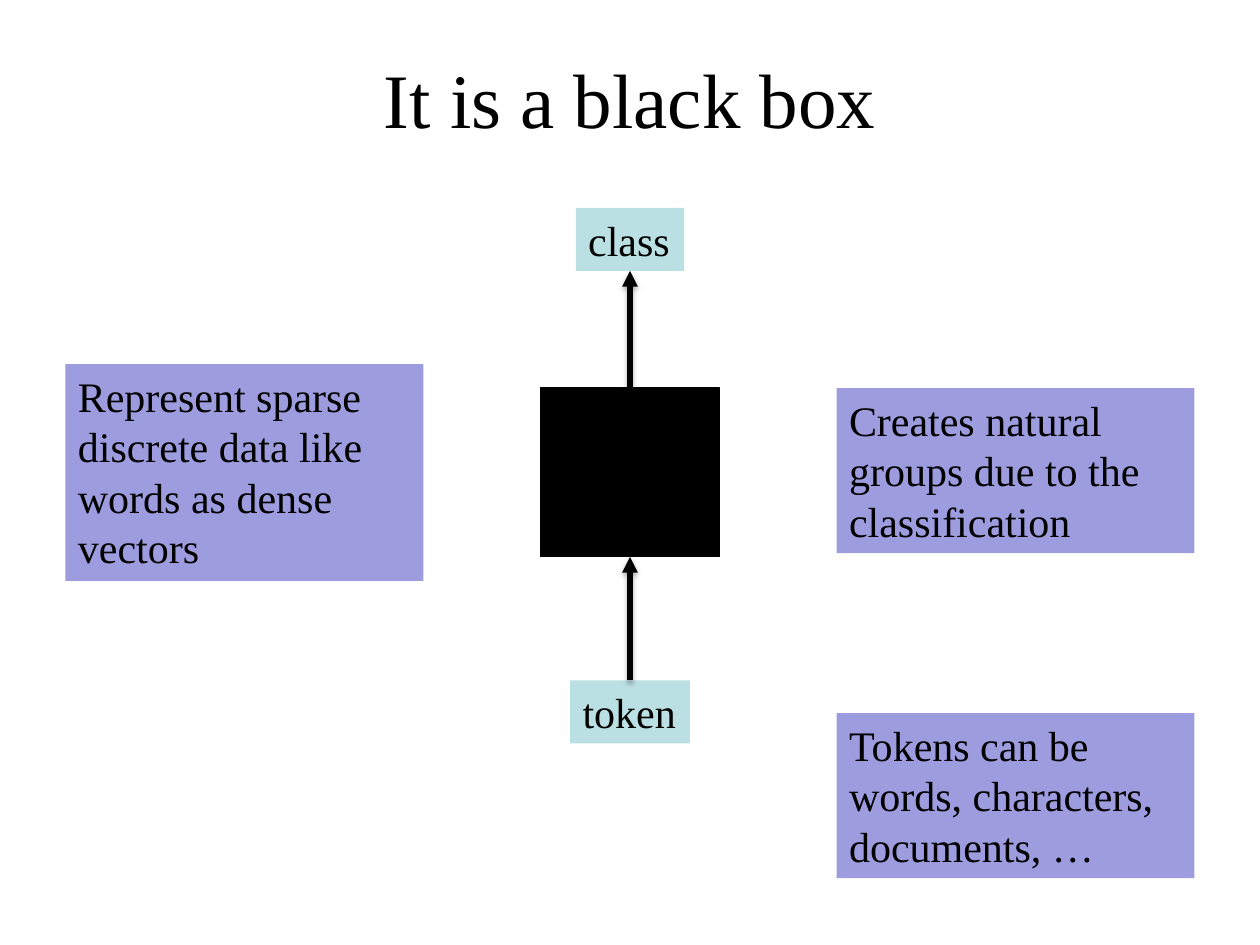
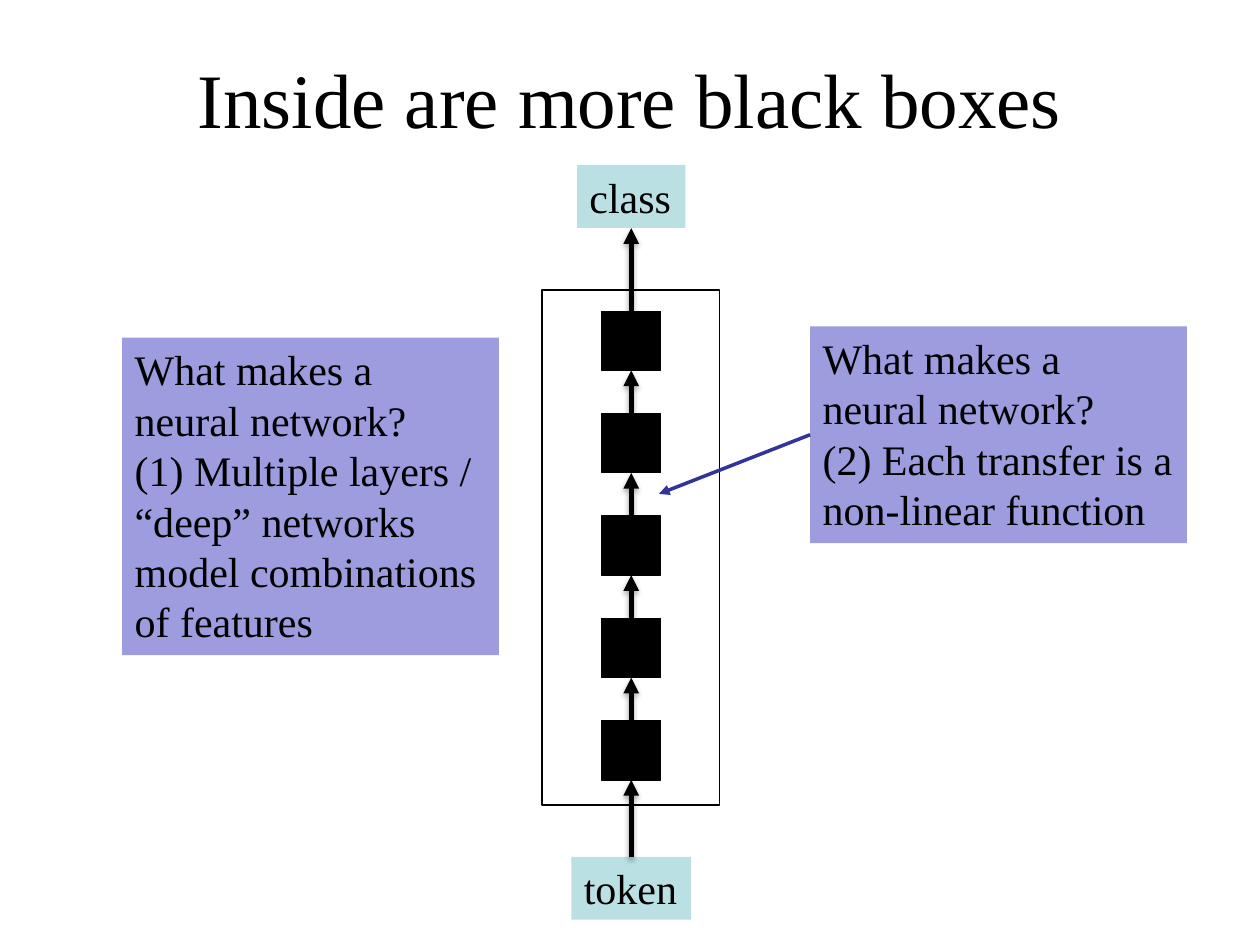
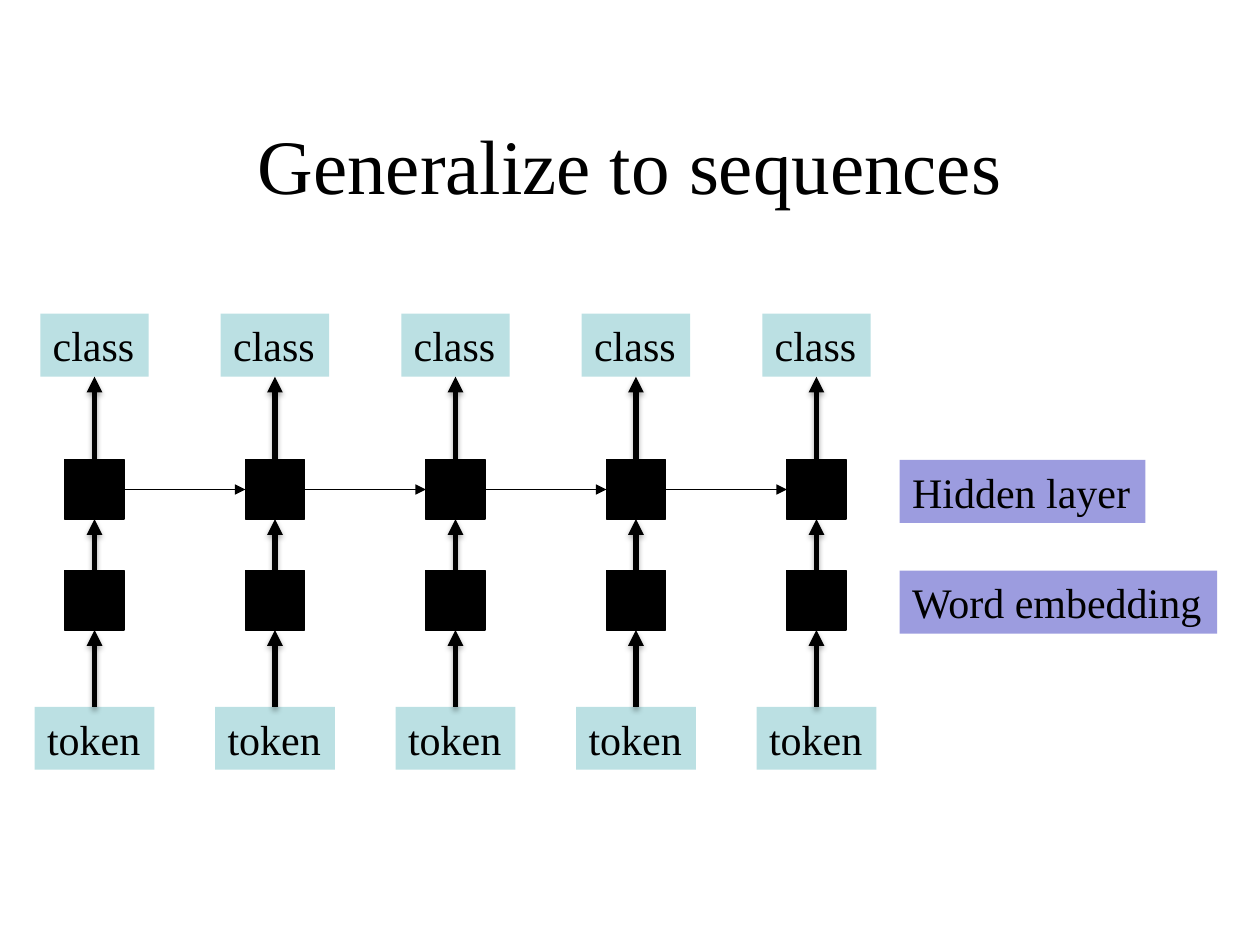
from dataclasses import dataclass
from typing import Any, Optional

import pptx
import pptx.dml.color
import pptx.enum.shapes
import pptx.enum.text
import pptx.oxml
import pptx.oxml.ns
import pptx.util

Inches = pptx.util.Inches
RGB = pptx.dml.color.RGBColor


@dataclass(frozen=True)
class Theme:
    font: str = "Times New Roman"
    black: RGB = RGB(0x00, 0x00, 0x00)
    pointer: RGB = RGB(0x33, 0x33, 0x99)
    label: RGB = RGB(0xBB, 0xE0, 0xE3)
    note: RGB = RGB(0x9C, 0x9C, 0xDF)
    title_size: int = 44
    body_size: int = 24


THEME = Theme()
LABEL_HEIGHT = 0.5


@dataclass(frozen=True)
class Box:
    """Position and size in inches."""
    left: float
    top: float
    width: float
    height: float

    def lengths(self) -> list[int]:
        return [Inches(v) for v in (self.left, self.top, self.width, self.height)]


@dataclass(frozen=True)
class Note:
    box: Box
    paragraphs: tuple[str, ...]
    wraps: bool = True


@dataclass(frozen=True)
class Tower:
    """Black boxes, top to bottom, between a class label and a token label."""
    center: float
    class_top: float
    layer_tops: tuple[float, ...]
    token_top: float
    layer_width: float = 0.47
    layer_height: float = 0.47


def write(frame: Any, paragraphs: tuple[str, ...], size: int, align: Any) -> None:
    for index, words in enumerate(paragraphs):
        paragraph = frame.add_paragraph() if index else frame.paragraphs[0]
        paragraph.alignment = align
        run = paragraph.add_run()
        run.text = words
        run.font.name = THEME.font
        run.font.size = pptx.util.Pt(size)
        run.font.color.rgb = THEME.black


def add_title(slide: Any, title: str, top: float = 0.15) -> None:
    frame = slide.shapes.add_textbox(*Box(0.75, top, 8.5, 1.25).lengths()).text_frame
    frame.word_wrap = True
    frame.vertical_anchor = pptx.enum.text.MSO_ANCHOR.MIDDLE
    write(frame, (title,), THEME.title_size, pptx.enum.text.PP_ALIGN.CENTER)


def add_rectangle(shapes: Any, box: Box, fill: Optional[RGB], outline: Optional[float] = None) -> Any:
    rectangle = shapes.add_shape(pptx.enum.shapes.MSO_SHAPE.RECTANGLE, *box.lengths())
    rectangle.shadow.inherit = False
    if fill is None:
        rectangle.fill.background()
    else:
        rectangle.fill.solid()
        rectangle.fill.fore_color.rgb = fill
    if outline is None:
        rectangle.line.fill.background()
    else:
        rectangle.line.color.rgb = THEME.black
        rectangle.line.width = pptx.util.Pt(outline)
    return rectangle


def add_note(shapes: Any, note: Note, fill: RGB = THEME.note) -> None:
    frame = add_rectangle(shapes, note.box, fill).text_frame
    frame.word_wrap = note.wraps
    frame.auto_size = pptx.enum.text.MSO_AUTO_SIZE.SHAPE_TO_FIT_TEXT
    frame.vertical_anchor = pptx.enum.text.MSO_ANCHOR.TOP
    write(frame, note.paragraphs, THEME.body_size, pptx.enum.text.PP_ALIGN.LEFT)


def add_label(shapes: Any, word: str, center: float, top: float, width: float) -> None:
    box = Box(center - width / 2, top, width, LABEL_HEIGHT)
    add_note(shapes, Note(box, (word,), wraps=False), THEME.label)


def add_arrow(shapes: Any, start: tuple[float, float], end: tuple[float, float],
              width: float, color: RGB = THEME.black, shadow: bool = False) -> None:
    arrow = shapes.add_connector(pptx.enum.shapes.MSO_CONNECTOR.STRAIGHT,
                                 *(Inches(v) for v in (*start, *end)))
    arrow.line.color.rgb = color
    arrow.line.width = pptx.util.Pt(width)
    namespace = pptx.oxml.ns.nsdecls("a")
    line = arrow.line._get_or_add_ln()
    line.append(pptx.oxml.parse_xml(f'<a:tailEnd {namespace} type="triangle"/>'))
    outer = ('<a:outerShdw blurRad="40000" dist="23000" dir="5400000" rotWithShape="0">'
             '<a:srgbClr val="000000"><a:alpha val="35000"/></a:srgbClr></a:outerShdw>')
    effects = f'<a:effectLst {namespace}>{outer if shadow else ""}</a:effectLst>'
    line.addnext(pptx.oxml.parse_xml(effects))


def add_tower(shapes: Any, tower: Tower) -> None:
    left = tower.center - tower.layer_width / 2
    for top in tower.layer_tops:
        add_rectangle(shapes, Box(left, top, tower.layer_width, tower.layer_height),
                      THEME.black, 0.75)
    add_label(shapes, "token", tower.center, tower.token_top, 0.95)
    add_label(shapes, "class", tower.center, tower.class_top, 0.86)
    starts = (*tower.layer_tops, tower.token_top)
    ends = (tower.class_top + LABEL_HEIGHT,
            *(top + tower.layer_height for top in tower.layer_tops))
    for start, end in zip(starts, ends):
        add_arrow(shapes, (tower.center, start), (tower.center, end), 3, shadow=True)


def build_black_box(slide: Any) -> None:
    add_tower(slide.shapes, Tower(5, 1.65, (3.08,), 5.4, 1.42, 1.34))
    add_title(slide, "It is a black box")
    for note in (
        Note(Box(0.52, 2.89, 2.84, 1.72),
             ("Represent sparse discrete data like words as dense vectors",)),
        Note(Box(6.64, 3.08, 2.84, 1.31),
             ("Creates natural groups due to the classification",)),
        Note(Box(6.64, 5.66, 2.84, 1.31),
             ("Tokens can be words, characters, documents, …",)),
    ):
        add_note(slide.shapes, note)


def build_inner_boxes(slide: Any) -> None:
    add_title(slide, "Inside are more black boxes")
    network = slide.shapes.add_group_shape().shapes
    add_rectangle(network, Box(4.3, 2.3, 1.41, 4.09), None, 1)
    first, last, count = 2.47, 5.72, 5
    layer_tops = tuple(first + (last - first) * i / (count - 1) for i in range(count))
    add_tower(network, Tower(5.01, 1.31, layer_tops, 6.8))

    question = "What makes a neural network?"
    add_note(slide.shapes, Note(Box(0.97, 2.68, 2.99, 2.52), (
        question, "(1) Multiple layers / “deep” networks model combinations of features")))
    callout = slide.shapes.add_group_shape().shapes
    add_note(callout, Note(Box(6.43, 2.59, 2.99, 1.72), (
        question, "(2) Each transfer is a non-linear function")))
    add_arrow(callout, (6.43, 3.45), (5.23, 3.92), 2, THEME.pointer)


def build_sequence(slide: Any) -> None:
    add_title(slide, "Generalize to sequences", top=0.67)
    hidden_top, embedding_top = 3.65, 4.53
    first, last, steps = 0.75, 6.48, 5
    towers = [Tower(first + (last - first) * i / (steps - 1), 2.49,
                    (hidden_top, embedding_top), 5.61) for i in range(steps)]
    for tower in towers:
        add_tower(slide.shapes.add_group_shape().shapes, tower)
    for tower, following in zip(towers, towers[1:]):
        half = tower.layer_width / 2
        middle = hidden_top + tower.layer_height / 2
        add_arrow(slide.shapes, (tower.center + half, middle),
                  (following.center - half, middle), 0.75)
    for name, top, width in (("Hidden layer", hidden_top, 1.95),
                             ("Word embedding", embedding_top, 2.52)):
        add_note(slide.shapes, Note(Box(7.14, top, width, LABEL_HEIGHT), (name,), wraps=False))


def main() -> None:
    deck = pptx.Presentation()
    deck.slide_width, deck.slide_height = Inches(10), Inches(7.5)
    blank = deck.slide_layouts[6]
    for build in (build_black_box, build_inner_boxes, build_sequence):
        build(deck.slides.add_slide(blank))
    deck.save("out.pptx")


if __name__ == "__main__":
    main()
